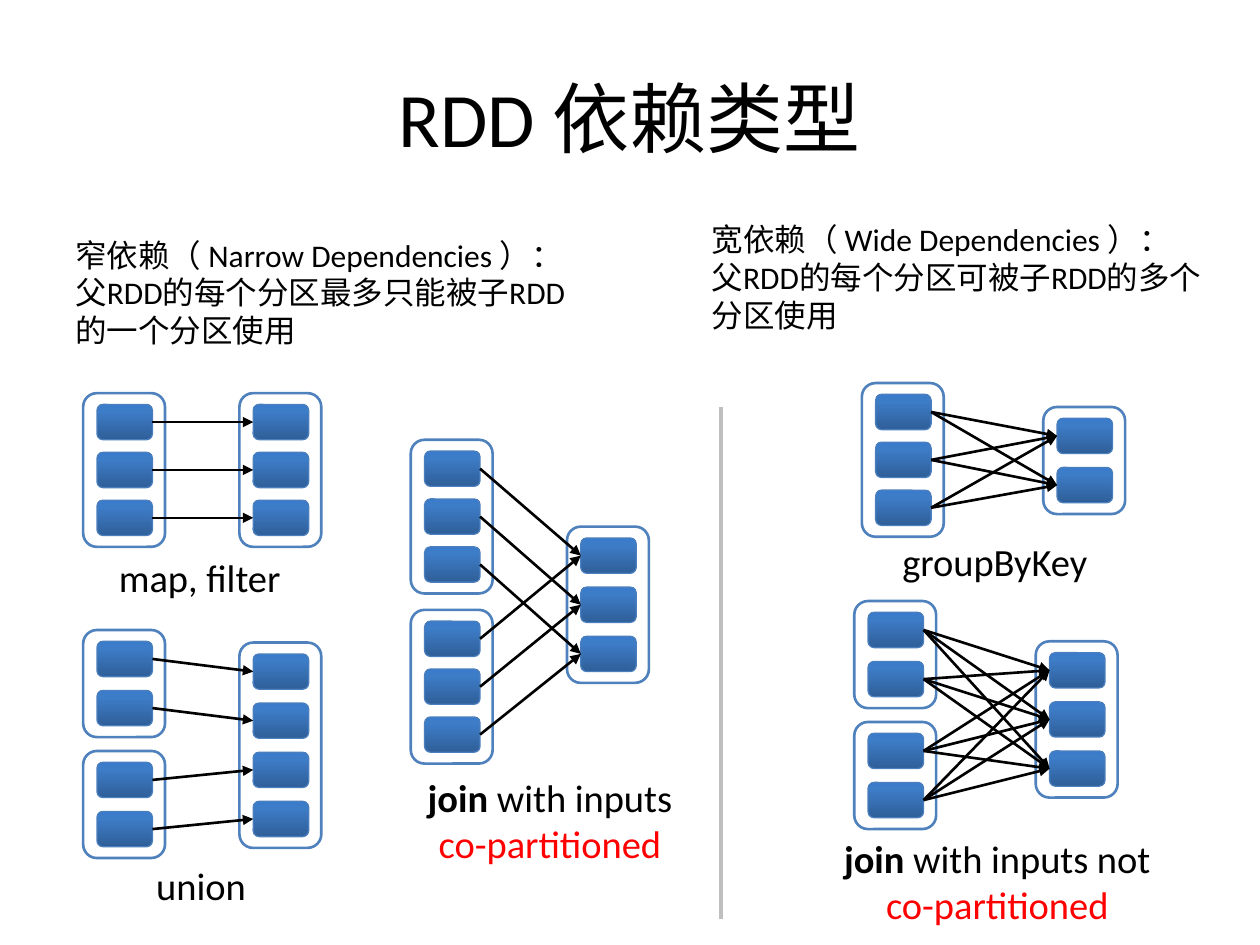
from copy import deepcopy
from itertools import product

from lxml import etree
from pptx import Presentation
from pptx.dml.color import RGBColor
from pptx.enum.shapes import MSO_CONNECTOR, MSO_SHAPE
from pptx.enum.text import MSO_ANCHOR, PP_ALIGN
from pptx.oxml.ns import qn
from pptx.util import Inches, Pt

ROUNDED = MSO_SHAPE.ROUNDED_RECTANGLE
STRAIGHT = MSO_CONNECTOR.STRAIGHT
CENTER, LEFT = PP_ALIGN.CENTER, PP_ALIGN.LEFT
TOP, MIDDLE = MSO_ANCHOR.TOP, MSO_ANCHOR.MIDDLE
LEFT_SITE, RIGHT_SITE = 1, 3

FONT = "Calibri"
BLACK = RGBColor(0x00, 0x00, 0x00)
WHITE = RGBColor(0xFF, 0xFF, 0xFF)
RED = RGBColor(0xFF, 0x00, 0x00)
GRAY = RGBColor(0xBF, 0xBF, 0xBF)
RDD_LINE = RGBColor(0x4F, 0x81, 0xBD)
BLOCK_LINE = RGBColor(0x4B, 0x7E, 0xBC)
BLOCK_STOPS = (
    (0, RGBColor(0x2F, 0x5F, 0x99)),
    (0.8, RGBColor(0x3D, 0x7C, 0xC7)),
    (1, RGBColor(0x3A, 0x7C, 0xCB)),
)

RDD_W, BLOCK_W, BLOCK_H = 0.65, 0.44, 0.28
PAD_X, PAD_Y = 0.11, 0.09
PITCH, TIGHT_PITCH = 0.39, 0.38


def add_rounded(slide, x, y, w, h, color, width):
    """Add an outlined rounded rectangle."""
    s = slide.shapes.add_shape(ROUNDED, Inches(x), Inches(y), Inches(w), Inches(h))
    s.shadow.inherit = False
    s.line.color.rgb = color
    s.line.width = Pt(width)
    return s


def add_block(slide, x, y):
    """Add one gradient-filled partition block."""
    s = add_rounded(slide, x, y, BLOCK_W, BLOCK_H, BLOCK_LINE, 0.75)
    s.fill.gradient()
    s.fill.gradient_angle = 90
    stops = s._element.spPr.find(qn("a:gradFill")).find(qn("a:gsLst"))
    stops.append(deepcopy(stops[-1]))
    for stop, (position, color) in zip(s.fill.gradient_stops, BLOCK_STOPS):
        stop.position = position
        stop.color.rgb = color
    return s


def add_rdd(slide, x, y, count, pitch=PITCH):
    """Add an RDD frame holding a column of blocks and return the blocks."""
    height = 2 * PAD_Y + BLOCK_H + pitch * (count - 1)
    frame = add_rounded(slide, x, y, RDD_W, height, RDD_LINE, 1.5)
    frame.fill.solid()
    frame.fill.fore_color.rgb = WHITE
    return [add_block(slide, x + PAD_X, y + PAD_Y + i * pitch) for i in range(count)]


def add_line(slide, x1, y1, x2, y2, color, width):
    """Add a straight line without a shadow."""
    s = slide.shapes.add_connector(
        STRAIGHT, Inches(x1), Inches(y1), Inches(x2), Inches(y2))
    s.line.color.rgb = color
    s.line.width = Pt(width)
    etree.SubElement(s._element.spPr, qn("a:effectLst"))
    return s


def add_arrows(slide, pairs):
    """Join each parent block to its child block with an arrow."""
    for parent, child in pairs:
        s = add_line(slide, 0, 0, 1, 1, BLACK, 1.5)
        s.begin_connect(parent, RIGHT_SITE)
        s.end_connect(child, LEFT_SITE)
        ln = s._element.spPr.find(qn("a:ln"))
        etree.SubElement(ln, qn("a:tailEnd"), type="triangle")


def format_run(r, size, color=BLACK, bold=False):
    """Set the font of a run."""
    r.font.name = FONT
    r.font.size = Pt(size)
    r.font.color.rgb = color
    r.font.bold = bold


def add_text(slide, x, y, w, h, text, size=22, align=CENTER, anchor=TOP):
    """Add a wrapping text box with one paragraph per line of text."""
    tf = slide.shapes.add_textbox(Inches(x), Inches(y), Inches(w), Inches(h)).text_frame
    tf.word_wrap = True
    tf.vertical_anchor = anchor
    tf.text = text
    for p in tf.paragraphs:
        p.alignment = align
        for r in p.runs:
            format_run(r, size)
    return tf


def add_join_label(slide, x, y, w, middle):
    """Add a two-line join caption with a bold and a red part."""
    p = add_text(slide, x, y, w, 0.84, "join").paragraphs[0]
    p.runs[0].font.bold = True
    r = p.add_run()
    r.text = middle
    format_run(r, 22)
    p.add_line_break()
    r = p.add_run()
    r.text = "co-partitioned"
    format_run(r, 22, RED)


def add_narrow(slide):
    """Draw the narrow dependencies: map, union and co-partitioned join."""
    add_text(slide, 0.5, 1.82, 4.26, 1.01,
             "窄依赖（ Narrow Dependencies ）：\n父RDD的每个分区最多只能被子RDD的一个分区使用",
             18, LEFT)

    parents = add_rdd(slide, 0.66, 3.12, 3, TIGHT_PITCH)
    children = add_rdd(slide, 1.9, 3.12, 3, TIGHT_PITCH)
    add_arrows(slide, zip(parents, children))
    add_text(slide, 0.64, 4.35, 1.89, 0.47, "map, filter")

    parents = add_rdd(slide, 0.66, 5, 2) + add_rdd(slide, 0.66, 5.96, 2)
    children = add_rdd(slide, 1.9, 5.1, 4)
    add_arrows(slide, zip(parents, children))
    add_text(slide, 0.64, 6.79, 1.91, 0.47, "union")

    parents = (add_rdd(slide, 3.26, 3.49, 3, TIGHT_PITCH)
               + add_rdd(slide, 3.26, 4.84, 3, TIGHT_PITCH))
    children = add_rdd(slide, 4.5, 4.18, 3)
    add_arrows(slide, zip(parents, children * 2))
    add_join_label(slide, 3.26, 6.09, 2.21, " with inputs")


def add_wide(slide):
    """Draw the wide dependencies: groupByKey and general join."""
    add_text(slide, 5.55, 1.7, 4.1, 1.01,
             "宽依赖（ Wide Dependencies ）：\n父RDD的每个分区可被子RDD的多个分区使用",
             18, LEFT)

    parents = add_rdd(slide, 6.84, 3.04, 3, TIGHT_PITCH)
    children = add_rdd(slide, 8.28, 3.23, 2)
    add_arrows(slide, product(parents, children))
    add_text(slide, 6.8, 4.22, 2.19, 0.47, "groupByKey")

    parents = add_rdd(slide, 6.78, 4.77, 2) + add_rdd(slide, 6.78, 5.73, 2)
    children = add_rdd(slide, 8.22, 5.09, 3)
    add_arrows(slide, product(parents, children))
    add_join_label(slide, 6.36, 6.58, 3.11, " with inputs not")


def main():
    """Build the slide and save it."""
    prs = Presentation()
    prs.slide_width, prs.slide_height = Inches(10), Inches(7.5)
    slide = prs.slides.add_slide(prs.slide_layouts[6])
    add_text(slide, 0.5, 0.3, 9, 1.25, "RDD 依赖类型", 44, anchor=MIDDLE)
    add_narrow(slide)
    add_line(slide, 5.72, 7.29, 5.72, 3.23, GRAY, 2.25)
    add_wide(slide)
    prs.save("out.pptx")


if __name__ == "__main__":
    main()
